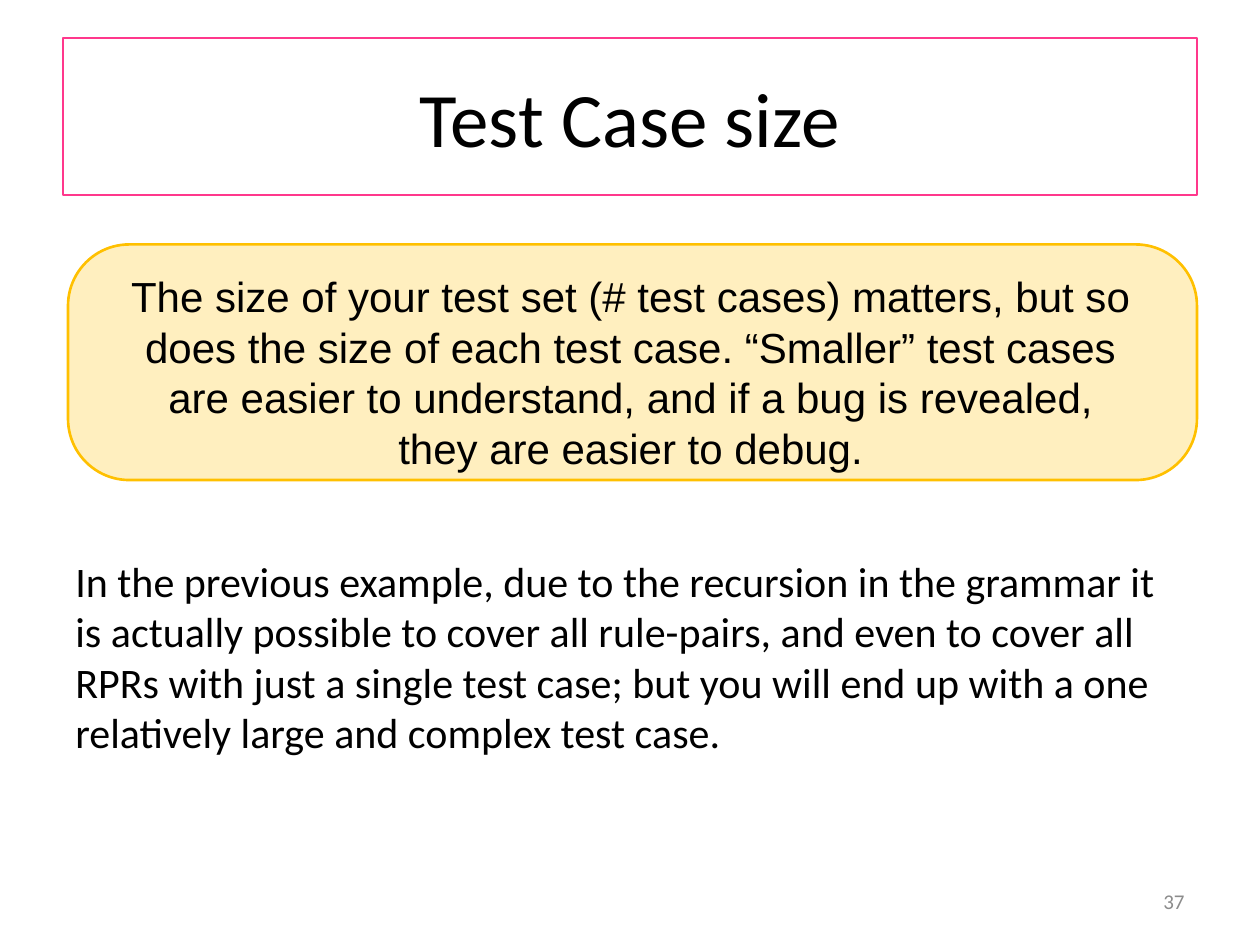
from lxml import etree
from pptx import Presentation
from pptx.dml.color import RGBColor
from pptx.enum.shapes import MSO_SHAPE
from pptx.enum.text import MSO_ANCHOR, PP_ALIGN
from pptx.oxml.ns import qn
from pptx.util import Inches, Pt

ROUNDED = MSO_SHAPE.ROUNDED_RECTANGLE
TOP, MIDDLE = MSO_ANCHOR.TOP, MSO_ANCHOR.MIDDLE
LEFT, CENTER, RIGHT = PP_ALIGN.LEFT, PP_ALIGN.CENTER, PP_ALIGN.RIGHT
TITLE_ONLY = 5

CALLOUT = (
    "The size of your test set (# test cases) matters, but so does the size of "
    "each test case. “Smaller” test cases are easier to understand, and if a bug "
    "is revealed, they are easier to debug."
)
BODY = (
    "In the previous example, due to the recursion in the grammar it is actually "
    "possible to cover all rule-pairs, and even to cover all RPRs with just a "
    "single test case; but you will end up with a one relatively large and "
    "complex test case."
)


def rgb(hex_color):
    return RGBColor.from_string(hex_color)


def set_text(sp, text, size, font="Calibri", color="000000", align=LEFT, anchor=TOP):
    tf = sp.text_frame
    tf.word_wrap = True
    tf.vertical_anchor = anchor
    p = tf.paragraphs[0]
    p.text = text
    p.alignment = align
    p.font.name = font
    p.font.size = Pt(size)
    p.font.color.rgb = rgb(color)


def set_line(sp, color, width):
    sp.line.color.rgb = rgb(color)
    sp.line.width = Pt(width)


def add_text(s, left, top, width, height, text, size, **style):
    sp = s.shapes.add_textbox(Inches(left), Inches(top), Inches(width), Inches(height))
    set_text(sp, text, size, **style)


def place_title(s, left, top, width, height):
    sp = s.shapes.title
    sp.left, sp.top = Inches(left), Inches(top)
    sp.width, sp.height = Inches(width), Inches(height)
    set_text(sp, "Test Case size", 44, align=CENTER, anchor=MIDDLE)
    set_line(sp, "FF388C", 1)


def add_callout(s, left, top, width, height):
    """Draw a translucent rounded panel with its message inset."""
    sp = s.shapes.add_shape(
        ROUNDED, Inches(left), Inches(top), Inches(width), Inches(height)
    )
    sp.adjustments[0] = 0.26
    sp.shadow.inherit = False
    sp.fill.solid()
    sp.fill.fore_color.rgb = rgb("FFC000")
    fill_color = sp.fill._xPr.find(qn("a:solidFill"))[0]
    etree.SubElement(fill_color, qn("a:alpha"), val="25000")
    set_line(sp, "FFC000", 1.5)
    add_text(s, left + 0.37, top + 0.16, width - 0.77, height - 0.15,
             CALLOUT, 24, font="Arial", align=CENTER)


def main():
    prs = Presentation()
    prs.slide_width, prs.slide_height = Inches(10), Inches(7.5)
    s = prs.slides.add_slide(prs.slide_layouts[TITLE_ONLY])
    place_title(s, 0.5, 0.3, 9, 1.25)
    add_callout(s, 0.54, 1.94, 8.96, 1.87)
    add_text(s, 0.5, 4.36, 9, 2.34, BODY, 24)
    add_text(s, 7.17, 6.95, 2.33, 0.4, "37", 12,
             color="8C8C8C", align=RIGHT, anchor=MIDDLE)
    prs.save("out.pptx")


if __name__ == "__main__":
    main()
